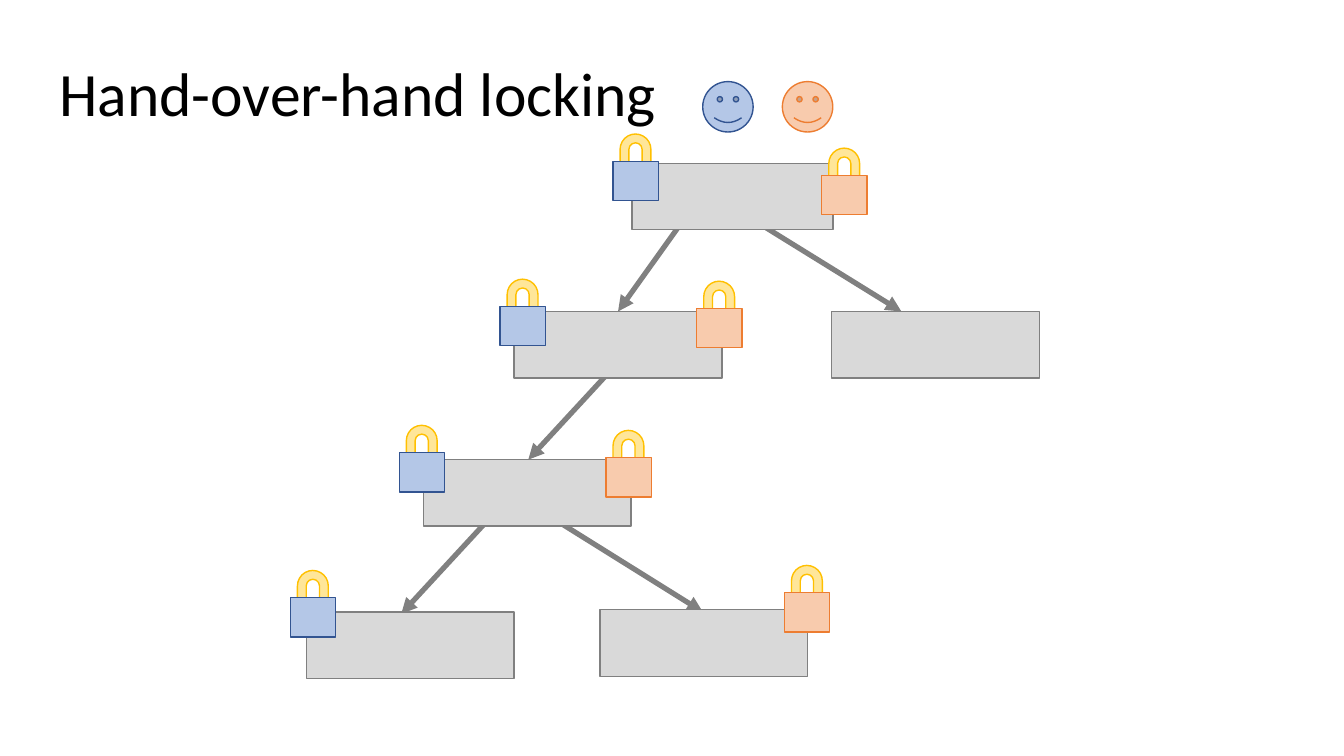
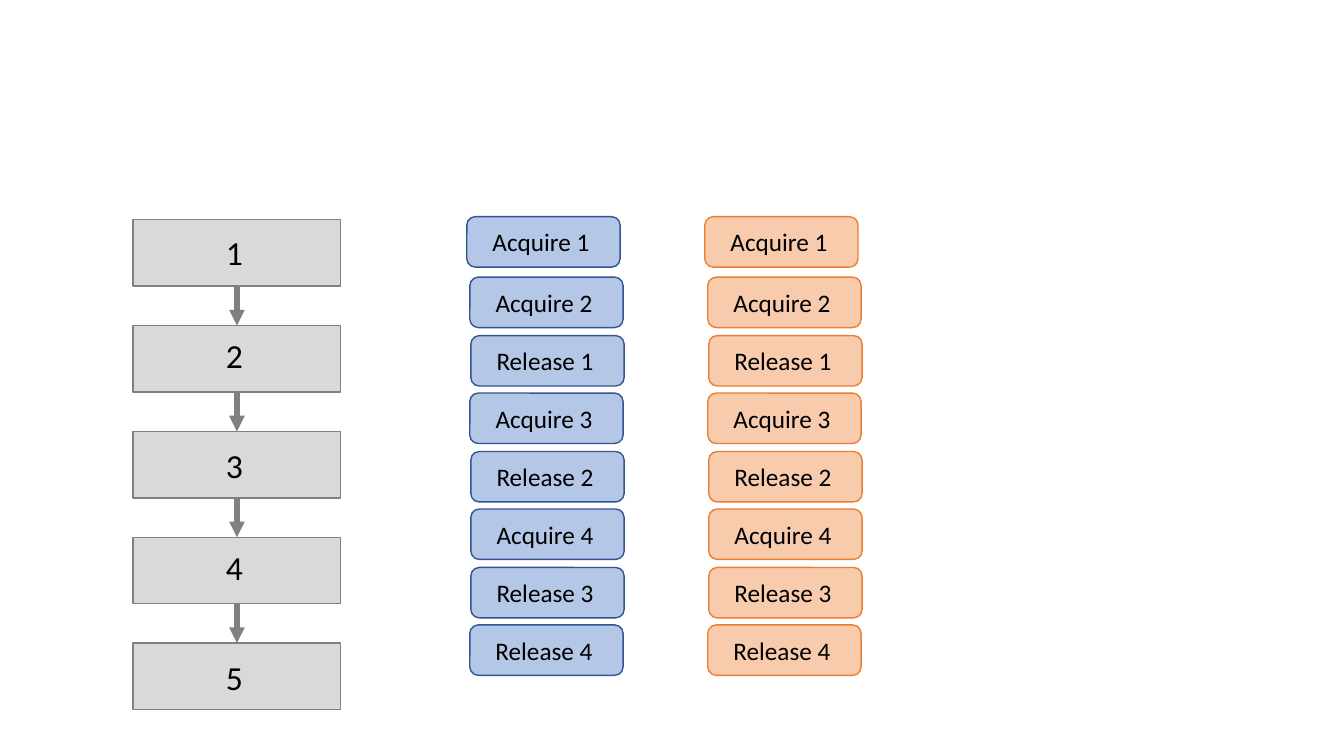
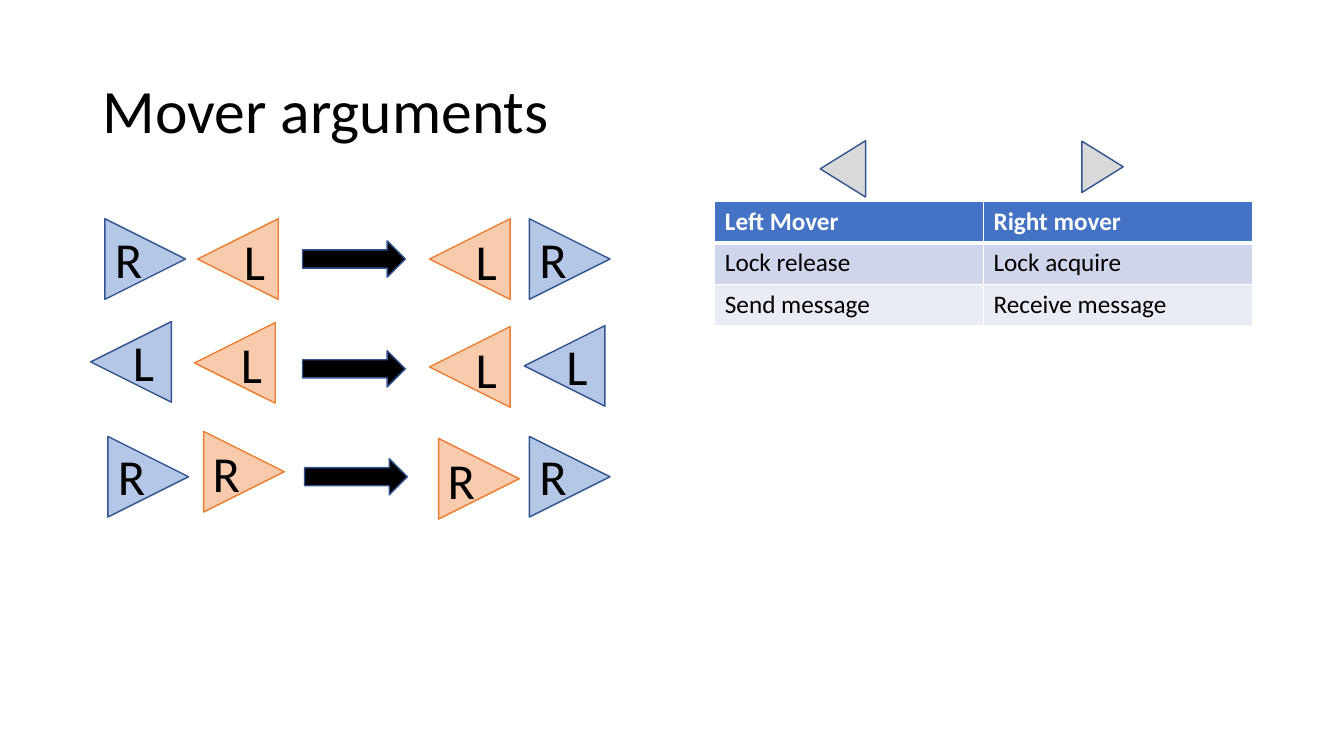
from dataclasses import dataclass

from lxml.etree import SubElement
from pptx import Presentation
from pptx.dml.color import RGBColor
from pptx.enum.shapes import MSO_CONNECTOR, MSO_SHAPE
from pptx.enum.text import MSO_ANCHOR, PP_ALIGN
from pptx.oxml.ns import qn
from pptx.util import Emu, Pt

EMU_PER_PX = 9144


@dataclass(frozen=True)
class Paint:
    """Fill and outline colours of one kind of shape."""
    fill: str
    line: str


@dataclass(frozen=True)
class Theme:
    """Colours and type sizes shared by all slides."""
    font: str = "Calibri"
    text: str = "000000"
    white: str = "FFFFFF"
    connector: str = "808080"
    header: str = "4472C4"
    bands: tuple = ("CFD5EA", "E9EBF5")
    node: Paint = Paint("D9D9D9", "808080")
    blue: Paint = Paint("B4C7E7", "325491")
    orange: Paint = Paint("F8CBAD", "ED7D31")
    shackle: Paint = Paint("FFE699", "FFC000")
    arrow: Paint = Paint("000000", "325491")
    legend: Paint = Paint("D9D9D9", "325491")
    title_size: int = 44
    letter_size: int = 36
    number_size: int = 24
    body_size: int = 18


THEME = Theme()
BLUE, ORANGE = THEME.blue, THEME.orange
LETTER_OFFSETS = {
    ("R", BLUE): (0, 4),
    ("R", ORANGE): (-1, 6),
    ("L", BLUE): (32, 5),
    ("L", ORANGE): (36, 6),
}


def px(length):
    """Turn whole px into EMU."""
    return Emu(length * EMU_PER_PX)


def box(*lengths):
    """Turn left, top, width and height into EMU."""
    return [px(length) for length in lengths]


def write(frame, text, size, color=THEME.text, bold=False):
    """Write one paragraph into a text frame and return it."""
    frame.word_wrap = True
    paragraph = frame.paragraphs[0]
    paragraph.text = text
    font = paragraph.font
    font.name, font.size, font.bold = THEME.font, Pt(size), bold
    font.color.rgb = RGBColor.from_string(color)
    return paragraph


def add_shape(shapes, kind, bounds, paint, rotation=0):
    """Add a preset shape with a flat fill and a thin outline."""
    shape = shapes.add_shape(kind, *box(*bounds))
    shape.shadow.inherit = False
    shape.fill.solid()
    shape.fill.fore_color.rgb = RGBColor.from_string(paint.fill)
    shape.line.color.rgb = RGBColor.from_string(paint.line)
    shape.line.width = Pt(1)
    shape.rotation = rotation
    return shape


def add_arrow(shapes, start, end):
    """Add a thick grey connector with a triangular head."""
    connector = shapes.add_connector(MSO_CONNECTOR.STRAIGHT, *box(*start, *end))
    connector.line.color.rgb = RGBColor.from_string(THEME.connector)
    connector.line.width = Pt(3.75)
    properties = connector.element.spPr
    SubElement(properties.find(qn("a:ln")), qn("a:tailEnd"), type="triangle")
    SubElement(properties, qn("a:effectLst"))


def add_title(slide, left, top, text):
    """Add the slide title, centred vertically in its band."""
    frame = slide.shapes.add_textbox(*box(left, top, 1150, 145)).text_frame
    frame.vertical_anchor = MSO_ANCHOR.MIDDLE
    write(frame, text, THEME.title_size).line_spacing = 0.9


def add_lock(slide, left, top, paint):
    """Add a padlock in the colour of its thread."""
    shapes = slide.shapes.add_group_shape().shapes
    add_shape(shapes, MSO_SHAPE.U_TURN_ARROW, (left + 7, top, 35, 56), THEME.shackle)
    add_shape(shapes, MSO_SHAPE.RECTANGLE, (left, top + 27, 45, 39), paint)


def add_tree(slide, left, top):
    """Add the tree of nodes and the locks of both threads."""
    arrows = (
        (443, 56, 590, 147), (374, 56, 309, 147), (304, 203, 220, 294),
        (178, 356, 94, 447), (236, 347, 393, 445),
    )
    nodes = (
        (323, 0, 199), (206, 147, 206), (116, 294, 206),
        (521, 147, 206), (0, 445, 206), (291, 443, 206),
    )
    locks = {
        BLUE: ((304, -29), (192, 115), (92, 260), (-16, 404)),
        ORANGE: ((511, -15), (387, 117), (297, 265), (474, 399)),
    }
    shapes = slide.shapes.add_group_shape().shapes
    for x1, y1, x2, y2 in arrows:
        add_arrow(shapes, (left + x1, top + y1), (left + x2, top + y2))
    for x, y, width in nodes:
        add_shape(shapes, MSO_SHAPE.RECTANGLE, (left + x, top + y, width, 66), THEME.node)
    for paint, places in locks.items():
        for x, y in places:
            add_lock(slide, left + x, top + y, paint)


def add_threads(slide, left, top):
    """Add one smiling face for each thread."""
    for index, paint in enumerate((BLUE, ORANGE)):
        bounds = (left + 79 * index, top, 50, 50)
        add_shape(slide.shapes, MSO_SHAPE.SMILEY_FACE, bounds, paint)


def add_chain(slide, left, top):
    """Add the numbered nodes of a linked list."""
    width, height, pitch = 206, 66, 105
    text_offsets = (12, 9, 13, 10, 14)
    for index, offset in enumerate(text_offsets):
        node_top = top + pitch * index
        bounds = (left, node_top, width, height)
        node = add_shape(slide.shapes, MSO_SHAPE.RECTANGLE, bounds, THEME.node)
        frame = node.text_frame
        frame.vertical_anchor = MSO_ANCHOR.TOP
        frame.margin_left, frame.margin_top = px(92), px(offset)
        write(frame, str(index + 1), THEME.number_size).alignment = PP_ALIGN.LEFT
    middle = left + width // 2
    for index in range(len(text_offsets) - 1):
        bottom = top + pitch * index + height
        add_arrow(slide.shapes, (middle, bottom), (middle, bottom + pitch - height))


def add_steps(slide, left, top, paint):
    """Add the column of lock operations of one thread."""
    steps = (
        ("Acquire 1", 0, 0), ("Acquire 2", 3, 60), ("Release 1", 4, 118),
        ("Acquire 3", 3, 175), ("Release 2", 4, 233), ("Acquire 4", 4, 290),
        ("Release 3", 4, 348), ("Release 4", 3, 405),
    )
    for label, x, y in steps:
        bounds = (left + x, top + y, 152, 50)
        step = add_shape(slide.shapes, MSO_SHAPE.ROUNDED_RECTANGLE, bounds, paint)
        frame = step.text_frame
        frame.vertical_anchor = MSO_ANCHOR.MIDDLE
        frame.margin_left, frame.margin_right = px(5), px(10)
        write(frame, label, THEME.body_size).alignment = PP_ALIGN.CENTER


def add_mover(slide, left, top, letter, paint):
    """Add a lettered triangle that points left or right."""
    shapes = slide.shapes.add_group_shape().shapes
    rotation = 90 if letter == "R" else 270
    add_shape(shapes, MSO_SHAPE.ISOSCELES_TRIANGLE, (left, top, 80, 80), paint, rotation)
    x, y = LETTER_OFFSETS[letter, paint]
    width = 58 if letter == "R" else 53
    label = shapes.add_textbox(*box(left + x, top + y, width, 71))
    write(label.text_frame, letter, THEME.letter_size)


def add_swap(slide, left, top, arrow, movers):
    """Add one swap: two movers, an arrow and the movers reordered."""
    x, y = arrow
    add_shape(slide.shapes, MSO_SHAPE.RIGHT_ARROW, (left + x, top + y, 102, 36), THEME.arrow)
    for letter, paint, x, y in movers:
        add_mover(slide, left + x, top + y, letter, paint)


def add_cell_borders(cell, bottom_width):
    """Draw white borders around a filled table cell."""
    properties = cell._tc.get_or_add_tcPr()
    widths = {"a:lnL": 1, "a:lnR": 1, "a:lnT": 1, "a:lnB": bottom_width}
    for index, (side, width) in enumerate(widths.items()):
        border = SubElement(properties, qn(side), w=str(Pt(width)))
        fill = SubElement(border, qn("a:solidFill"))
        SubElement(fill, qn("a:srgbClr"), val=THEME.white)
        properties.insert(index, border)


def add_mover_table(slide, left, top):
    """Add the table of movers with a pointer above each column."""
    rows = (
        ("Left Mover", "Right mover"),
        ("Lock release", "Lock acquire"),
        ("Send message", "Receive message"),
    )
    fills = (THEME.header, *THEME.bands)
    table = slide.shapes.add_table(3, 2, *box(left, top, 533, 122)).table
    for row in table.rows:
        row.height = px(41)
    for row_index, labels in enumerate(rows):
        header = row_index == 0
        for column_index, label in enumerate(labels):
            cell = table.cell(row_index, column_index)
            cell.fill.solid()
            cell.fill.fore_color.rgb = RGBColor.from_string(fills[row_index])
            color = THEME.white if header else THEME.text
            write(cell.text_frame, label, THEME.body_size, color, header)
            add_cell_borders(cell, 3 if header else 1)
    for x, width, height, rotation in ((359, 51, 41, 90), (99, 56, 45, 270)):
        bounds = (left + x, top - 55, width, height)
        add_shape(slide.shapes, MSO_SHAPE.ISOSCELES_TRIANGLE, bounds, THEME.legend, rotation)


def build_locking_slide(slide):
    """Build the slide on hand-over-hand locking in a tree."""
    add_tree(slide, 304, 162)
    add_threads(slide, 697, 81)
    add_title(slide, 49, 23, "Hand-over-hand locking")


def build_steps_slide(slide):
    """Build the slide on the lock operations along a list."""
    add_chain(slide, 132, 218)
    add_steps(slide, 463, 215, BLUE)
    add_steps(slide, 699, 215, ORANGE)


def build_movers_slide(slide):
    """Build the slide on left and right movers."""
    swaps = (
        (217, (210, 22), (("R", BLUE, 14, 0), ("L", ORANGE, 106, 0),
                          ("L", ORANGE, 336, 0), ("R", BLUE, 435, 0))),
        (319, (210, 29), (("L", BLUE, 0, 0), ("L", ORANGE, 103, 1),
                          ("L", ORANGE, 336, 5), ("L", BLUE, 430, 4))),
        (428, (212, 27), (("R", BLUE, 17, 5), ("R", ORANGE, 112, 0),
                          ("R", ORANGE, 345, 7), ("R", BLUE, 435, 5))),
    )
    add_title(slide, 92, 40, "Mover arguments")
    add_mover_table(slide, 709, 200)
    for top, arrow, movers in swaps:
        add_swap(slide, 90, top, arrow, movers)


def main():
    """Build and save the presentation."""
    presentation = Presentation()
    presentation.slide_width, presentation.slide_height = px(1333), px(750)
    blank = presentation.slide_layouts[6]
    for build in (build_locking_slide, build_steps_slide, build_movers_slide):
        build(presentation.slides.add_slide(blank))
    presentation.save("out.pptx")


if __name__ == "__main__":
    main()
